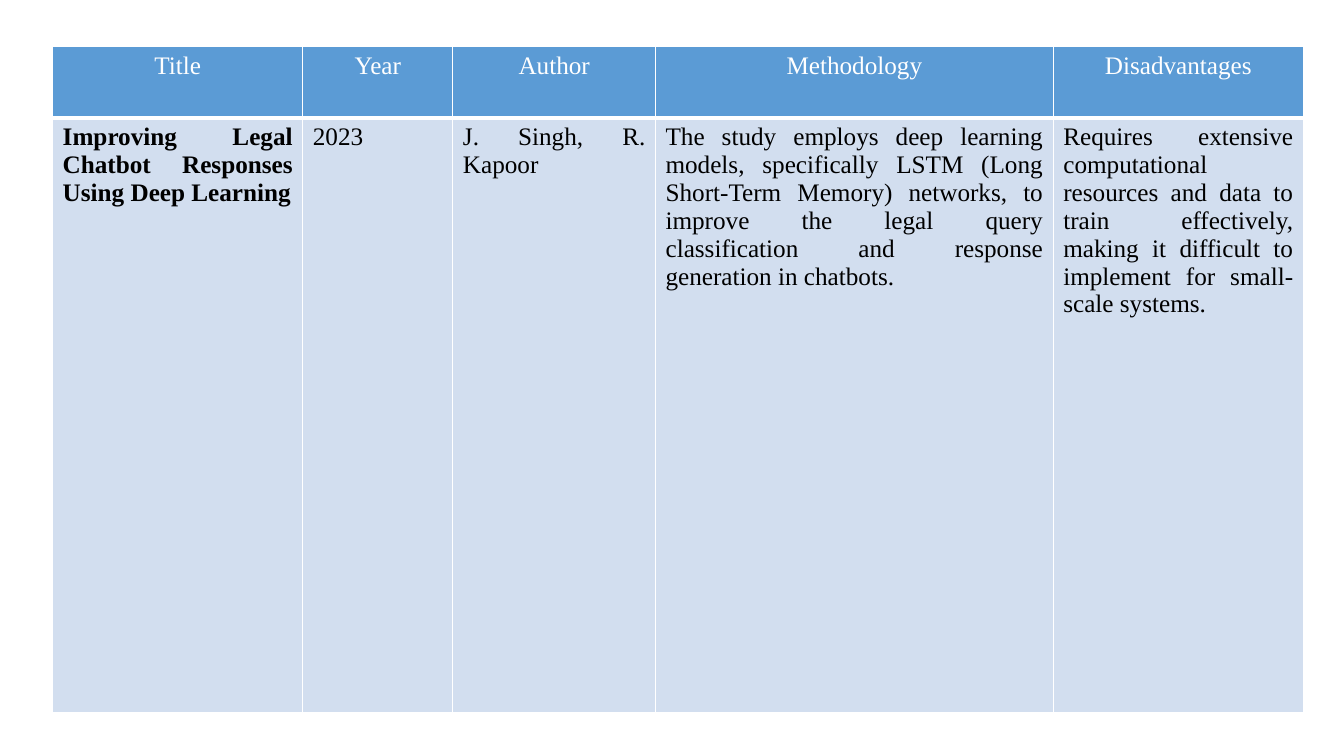
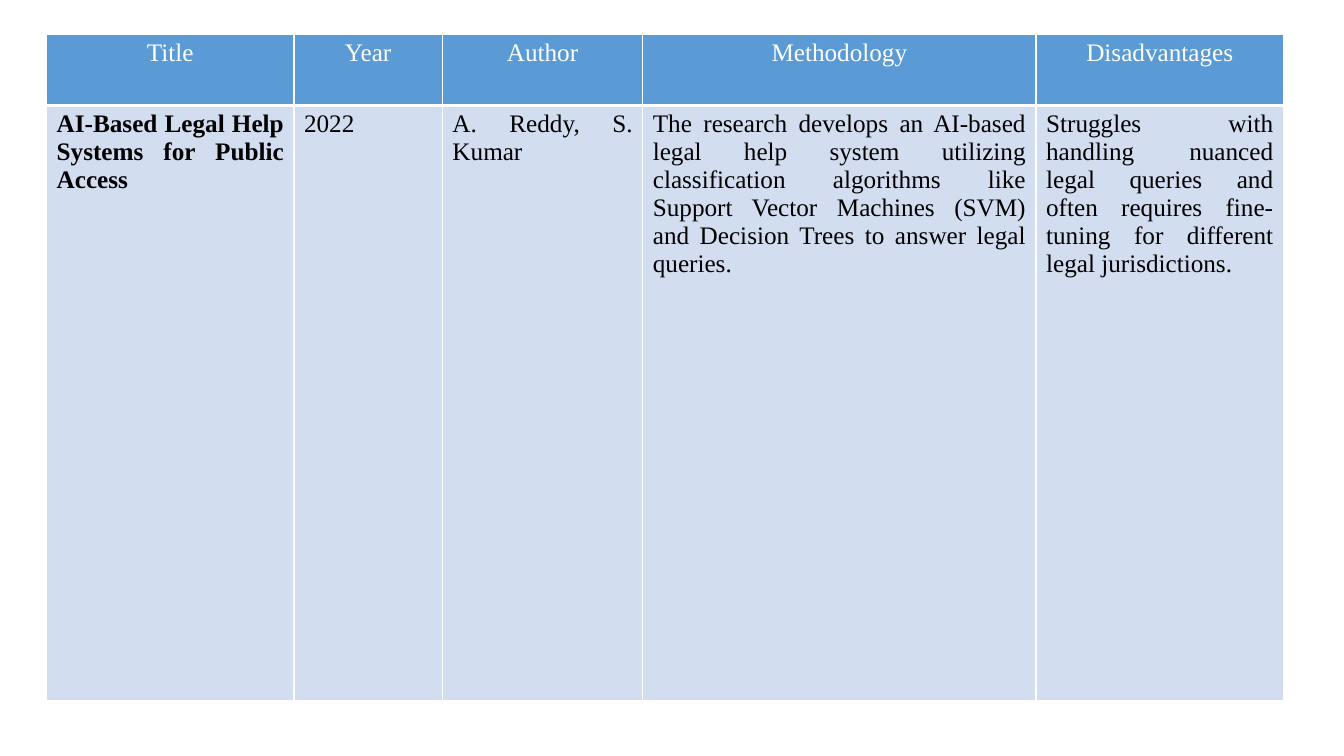
from pptx import Presentation
from pptx.dml.color import RGBColor
from pptx.enum import text
from pptx.oxml import parse_xml
from pptx.oxml.ns import nsdecls
from pptx.util import Pt

# Content: one reviewed paper per slide
HEADINGS = ("Title", "Year", "Author", "Methodology", "Disadvantages")
PAPERS = [
    {
        "left": 37.6, "top": 33.3, "width": 893.5,
        "entry": (
            "Improving Legal Chatbot Responses Using Deep Learning",
            "2023",
            "J. Singh, R. Kapoor",
            "The study employs deep learning models, specifically LSTM (Long Short-Term "
            "Memory) networks, to improve the legal query classification and response "
            "generation in chatbots.",
            "Requires extensive computational resources and data to train effectively, "
            "making it difficult to implement for small-scale systems.",
        ),
    },
    {
        "left": 33.3, "top": 24.3, "width": 883.5,
        "entry": (
            "AI-Based Legal Help Systems for Public Access",
            "2022",
            "A. Reddy, S. Kumar",
            "The research develops an AI-based legal help system utilizing classification "
            "algorithms like Support Vector Machines (SVM) and Decision Trees to answer "
            "legal queries.",
            "Struggles with handling nuanced legal queries and often requires fine-tuning "
            "for different legal jurisdictions.",
        ),
    },
]

# Shared style
COLORS = {"header": "5B9BD5", "body": "D2DEEF", "rule": "FFFFFF",
          "header_text": "FFFFFF", "body_text": "000000"}
FONT, FONT_SIZE = "Times New Roman", Pt(18)
COLUMN_SHARES = (0.2, 0.12, 0.162, 0.318, 0.2)
ROW_HEIGHTS = (51, 425)


def add_borders(cell, bottom):
    """Rule all four sides; must run before the fill is set."""
    properties = cell._tc.get_or_add_tcPr()
    for side, width in (("L", 1), ("R", 1), ("T", 1), ("B", bottom)):
        properties.append(parse_xml(
            f'<a:ln{side} {nsdecls("a")} w="{Pt(width)}"><a:solidFill>'
            f'<a:srgbClr val="{COLORS["rule"]}"/></a:solidFill></a:ln{side}>'))


def style_cell(cell, words, part, bold=False):
    is_header = part == "header"
    add_borders(cell, bottom=3 if is_header else 1)
    cell.fill.solid()
    cell.fill.fore_color.rgb = RGBColor.from_string(COLORS[part])
    cell.text = words
    paragraph = cell.text_frame.paragraphs[0]
    paragraph.alignment = text.PP_ALIGN.CENTER if is_header else text.PP_ALIGN.JUSTIFY
    font = paragraph.font
    font.name, font.size, font.bold = FONT, FONT_SIZE, bold
    font.color.rgb = RGBColor.from_string(COLORS[part + "_text"])


def add_paper(deck, paper):
    slide = deck.slides.add_slide(deck.slide_layouts[6])
    review = slide.shapes.add_table(
        2, len(HEADINGS), Pt(paper["left"]), Pt(paper["top"]),
        Pt(paper["width"]), Pt(sum(ROW_HEIGHTS))).table
    for row, height in zip(review.rows, ROW_HEIGHTS):
        row.height = Pt(height)
    for i, share in enumerate(COLUMN_SHARES):
        review.columns[i].width = Pt(paper["width"] * share)
        style_cell(review.cell(0, i), HEADINGS[i], "header")
        style_cell(review.cell(1, i), paper["entry"][i], "body", bold=i == 0)


def main():
    deck = Presentation()
    deck.slide_width, deck.slide_height = Pt(960), Pt(540)
    for paper in PAPERS:
        add_paper(deck, paper)
    deck.save("out.pptx")


if __name__ == "__main__":
    main()
